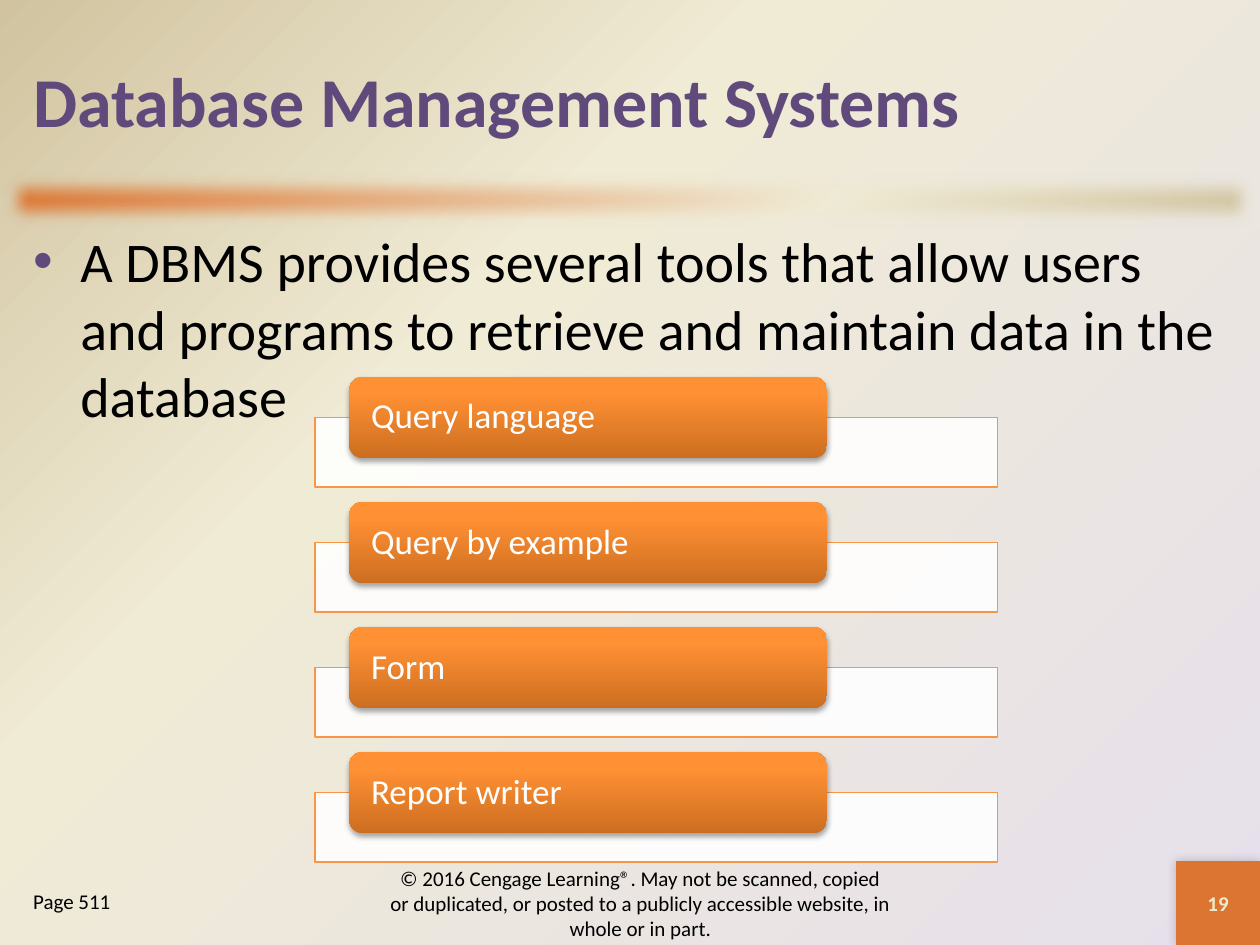
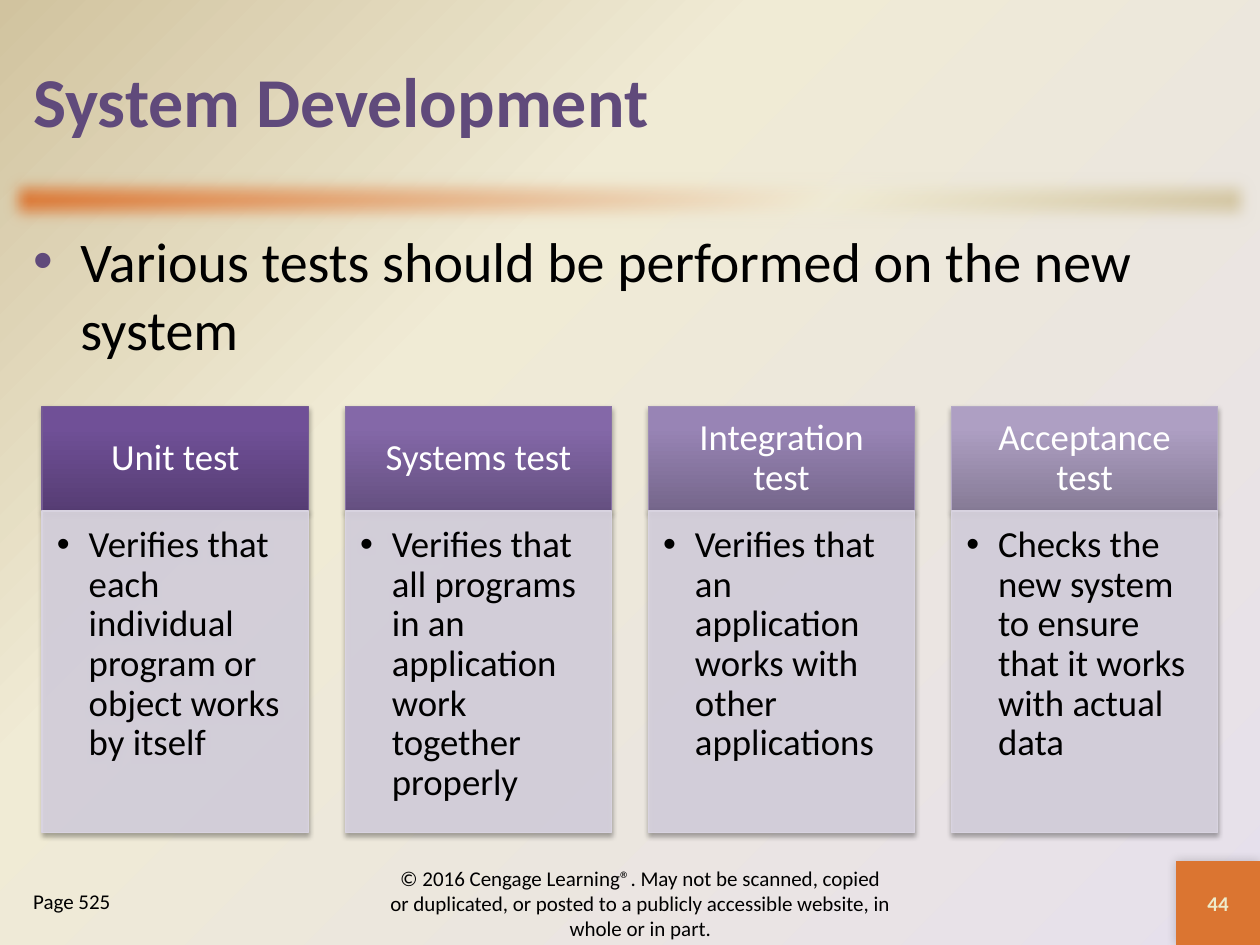
from lxml import etree
from pptx import Presentation
from pptx.dml.color import RGBColor
from pptx.enum.shapes import MSO_SHAPE
from pptx.enum.text import MSO_ANCHOR, PP_ALIGN
from pptx.oxml.ns import qn
from pptx.util import Cm, Pt

# Colours and font
PURPLE = RGBColor(0x60, 0x4A, 0x7B)
ORANGE = RGBColor(0xDB, 0x75, 0x31)
CREAM = RGBColor(0xF0, 0xEB, 0xD5)
TAN = RGBColor(0xD1, 0xC3, 0x9F)
LILAC = RGBColor(0xE6, 0xE0, 0xEC)
PALE_YELLOW = RGBColor(0xEE, 0xEB, 0xCA)
TOOL_EDGE = RGBColor(0xF7, 0x96, 0x46)
TEST_BODY = RGBColor(0xD8, 0xD3, 0xE0)
WHITE = RGBColor(0xFF, 0xFF, 0xFF)
BLACK = RGBColor(0x00, 0x00, 0x00)
TOOL_SHADES = [RGBColor(0xCC, 0x6E, 0x20), RGBColor(0xFF, 0x90, 0x34), RGBColor(0xFF, 0x91, 0x36)]
FONT = "Calibri"

# Effects: tag and attributes, then opacity in percent
CARD_SHADOW = ("a:outerShdw", {"blurRad": Pt(3.1), "dist": Pt(1.8), "dir": 90 * 60000}, 35)
NUMBER_SHADOW = ("a:outerShdw", {"blurRad": Pt(6), "dist": 0, "dir": 225 * 60000}, 20)
SOFT_EDGE = ("a:softEdge", {"rad": Pt(10)}, None)

# Text styles
LEFT = {"alignment": PP_ALIGN.LEFT}
CENTER = {"alignment": PP_ALIGN.CENTER}
MIDDLE = {"vertical_anchor": MSO_ANCHOR.MIDDLE}
TOP = {"vertical_anchor": MSO_ANCHOR.TOP}
TITLE = {"frame": MIDDLE, "paragraph": LEFT, "font": {"size": Pt(40), "bold": True}, "color": PURPLE}
BODY = {"frame": TOP, "paragraph": LEFT, "font": {"size": Pt(32)}, "color": BLACK,
        "bullet": PURPLE, "indent": Cm(0.95)}
PAGE = {"frame": TOP, "paragraph": LEFT, "font": {"size": Pt(12)}, "color": BLACK}
COPYRIGHT = {"frame": MIDDLE, "paragraph": CENTER, "font": {"size": Pt(12)}, "color": BLACK}
NUMBER = {"frame": MIDDLE, "paragraph": CENTER, "font": {"size": Pt(12), "bold": True},
          "color": PALE_YELLOW}
TOOL = {"frame": {**MIDDLE, "margin_left": Cm(0.36), "margin_right": Cm(0.36),
                  "margin_top": 0, "margin_bottom": 0},
        "paragraph": {**LEFT, "line_spacing": 0.9}, "font": {"size": Pt(20)}, "color": WHITE}
TEST_NAME = {"frame": {**MIDDLE, "margin_left": Cm(0.41), "margin_right": Cm(0.41),
                       "margin_top": Cm(0.23), "margin_bottom": Cm(0.23)},
             "paragraph": {**CENTER, "line_spacing": 0.9}, "font": {"size": Pt(21)}, "color": WHITE}
TEST_AIM = {"frame": {**TOP, "margin_left": Cm(0.3), "margin_right": Cm(0.41),
                      "margin_top": Cm(0.3), "margin_bottom": Cm(0.46)},
            "paragraph": {**LEFT, "line_spacing": 0.9}, "font": {"size": Pt(21)}, "color": BLACK,
            "bullet": BLACK, "indent": Cm(0.64)}

# Content
COPYRIGHT_TEXT = ("© 2016 Cengage Learning®. May not be scanned, copied or duplicated, "
                  "or posted to a publicly accessible website, in whole or in part.")
PAGES = [
    ("Database Management Systems",
     "A DBMS provides several tools that allow users and programs to retrieve "
     "and maintain data in the database", "Page 511", "19"),
    ("System Development",
     "Various tests should be performed on the new system", "Page 525", "44"),
]
TOOLS = ["Query language", "Query by example", "Form", "Report writer"]
TESTS = [
    ("Unit test", "Verifies that each individual program or object works by itself",
     ["563D74", "705097", "704F99"], "745B93"),
    ("Systems test", "Verifies that all programs in an application work together properly",
     ["655081", "8468A8", "8467AA"], "8973A6"),
    ("Integration test", "Verifies that an application works with other applications",
     ["75668B", "9884B5", "9984B7"], "9E8EB5"),
    ("Acceptance test", "Checks the new system to ensure that it works with actual data",
     ["867B96", "AE9FC3", "AE9FC4"], "B4A9C5"),
]


def paint_gradient(properties, colors, middle, angle):
    """Replace a solid fill by a three-stop linear gradient."""
    gradient = etree.Element(qn("a:gradFill"), rotWithShape="1")
    stops = etree.SubElement(gradient, qn("a:gsLst"))
    for position, color in zip((0, middle, 100), colors):
        stop = etree.SubElement(stops, qn("a:gs"), pos=str(position * 1000))
        etree.SubElement(stop, qn("a:srgbClr"), val=str(color))
    etree.SubElement(gradient, qn("a:lin"), ang=str(angle * 60000), scaled="0")
    properties.replace(properties.find(qn("a:solidFill")), gradient)


def add_box(slide, place, text="", style=None, fill=None, opacity=100, edge=None,
            effect=None, preset=MSO_SHAPE.RECTANGLE):
    """Add a text box, or a shape when a fill is given; place is in centimetres."""
    place = [Cm(length) for length in place]
    if fill is None:
        box = slide.shapes.add_textbox(*place)
    else:
        box = slide.shapes.add_shape(preset, *place)
        box.shadow.inherit = False
        box.fill.solid()
        box.fill.fore_color.rgb = fill
        properties = box._element.spPr
        if opacity < 100:
            color = properties.find(qn("a:solidFill"))[0]
            etree.SubElement(color, qn("a:alpha"), val=str(opacity * 1000))
        if edge is None:
            box.line.fill.background()
        else:
            box.line.color.rgb = edge
            box.line.width = Pt(0.75)
        if effect:
            tag, attributes, strength = effect
            node = etree.SubElement(properties.find(qn("a:effectLst")), qn(tag),
                                    {key: str(value) for key, value in attributes.items()})
            if strength:
                shade = etree.SubElement(node, qn("a:srgbClr"), val=str(BLACK))
                etree.SubElement(shade, qn("a:alpha"), val=str(strength * 1000))
    if text:
        frame = box.text_frame
        frame.word_wrap = True
        paragraph = frame.paragraphs[0]
        run = paragraph.add_run()
        run.text = text
        if "bullet" in style:
            layout = paragraph._p.get_or_add_pPr()
            layout.set("marL", str(style["indent"]))
            layout.set("indent", str(-style["indent"]))
            bullet_color = etree.SubElement(layout, qn("a:buClr"))
            etree.SubElement(bullet_color, qn("a:srgbClr"), val=str(style["bullet"]))
            etree.SubElement(layout, qn("a:buFont"), typeface="Arial")
            etree.SubElement(layout, qn("a:buChar"), char="•")
        for target, values in ((frame, style["frame"]), (paragraph, style["paragraph"]),
                               (run.font, {"name": FONT, **style["font"]})):
            for key, value in values.items():
                setattr(target, key, value)
        run.font.color.rgb = style["color"]
    return box


presentation = Presentation()
presentation.slide_width, presentation.slide_height = Cm(25.4), Cm(19.05)

# Shared background, band, title, lead text and footer
slides = []
for title, lead, page, number in PAGES:
    slide = presentation.slides.add_slide(presentation.slide_layouts[6])
    slides.append(slide)
    slide.background.fill.solid()
    paint_gradient(slide._element.find(".//" + qn("p:bgPr")), [TAN, CREAM, LILAC], 35, 45)
    band = add_box(slide, (0, 3.39, 25.4, 1.27), fill=ORANGE, effect=SOFT_EDGE)
    paint_gradient(band._element.spPr, [ORANGE, CREAM, TAN], 65, 45)
    add_box(slide, (0.42, 0.42, 24.55, 3.18), title, TITLE)
    add_box(slide, (0.42, 4.45, 24.55, 12.9), lead, BODY)
    add_box(slide, (7.62, 17.57, 10.58, 1.27), COPYRIGHT_TEXT, COPYRIGHT)
    add_box(slide, (23.71, 17.36, 1.69, 1.69), number, NUMBER, fill=ORANGE, effect=NUMBER_SHADOW)
    add_box(slide, (0.42, 17.78, 4.66, 1.27), page, PAGE)
tools_slide, tests_slide = slides

# Tools of a DBMS: a label over the top edge of each white strip
for row, tool in enumerate(TOOLS):
    top = 7.6 + row * 2.52
    add_box(tools_slide, (6.35, top + 0.82, 13.76, 1.4), fill=WHITE, opacity=90, edge=TOOL_EDGE)
    label = add_box(tools_slide, (7.04, top, 9.63, 1.64), tool, TOOL, fill=TOOL_SHADES[0],
                    effect=CARD_SHADOW, preset=MSO_SHAPE.ROUNDED_RECTANGLE)
    paint_gradient(label._element.spPr, TOOL_SHADES, 80, 270)

# Kinds of test: four columns, each a heading and its aim
for column, (test, aim, shades, edge) in enumerate(TESTS):
    left = 0.85 + column * 6.11
    heading = add_box(tests_slide, (left, 8.19, 5.37, 2.11), test, TEST_NAME,
                      fill=RGBColor.from_string(shades[0]), edge=RGBColor.from_string(edge),
                      effect=CARD_SHADOW)
    paint_gradient(heading._element.spPr, shades, 80, 270)
    add_box(tests_slide, (left, 10.3, 5.37, 6.48), aim, TEST_AIM, fill=TEST_BODY, opacity=90,
            edge=TEST_BODY, effect=CARD_SHADOW)

presentation.save("out.pptx")
